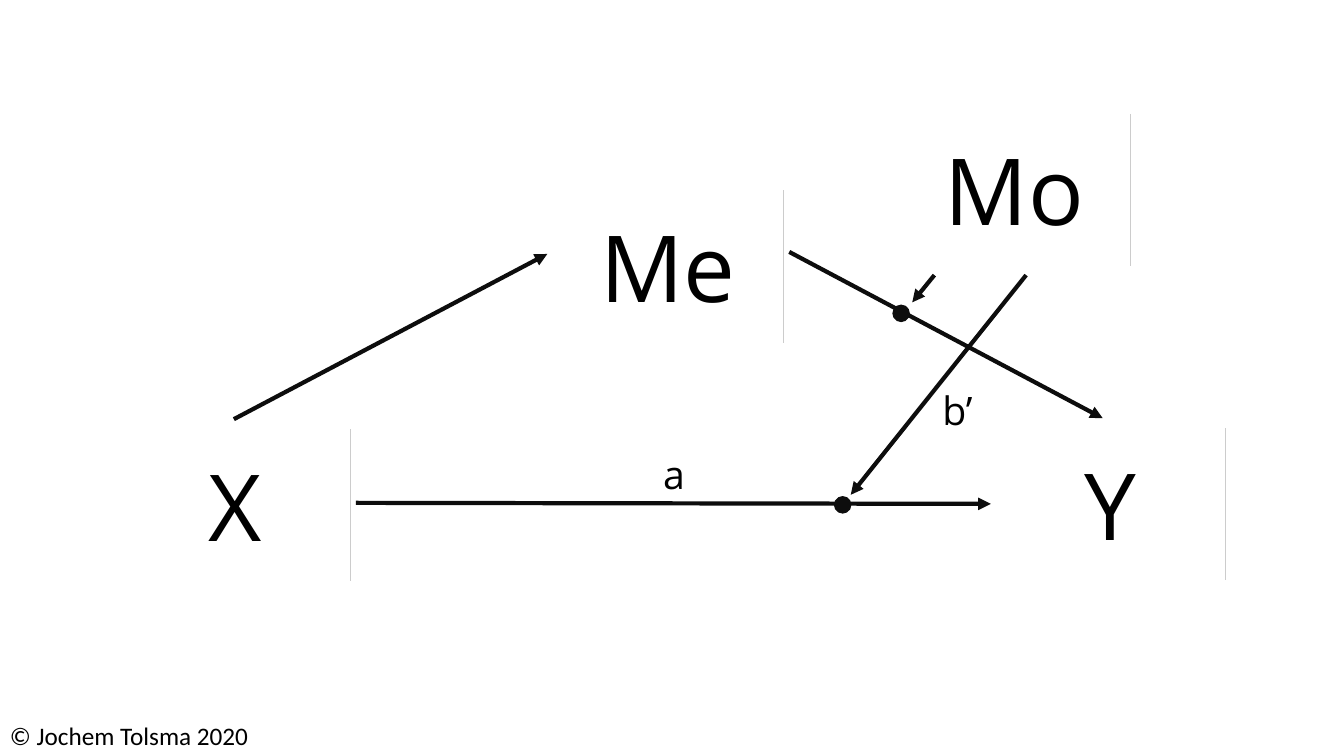
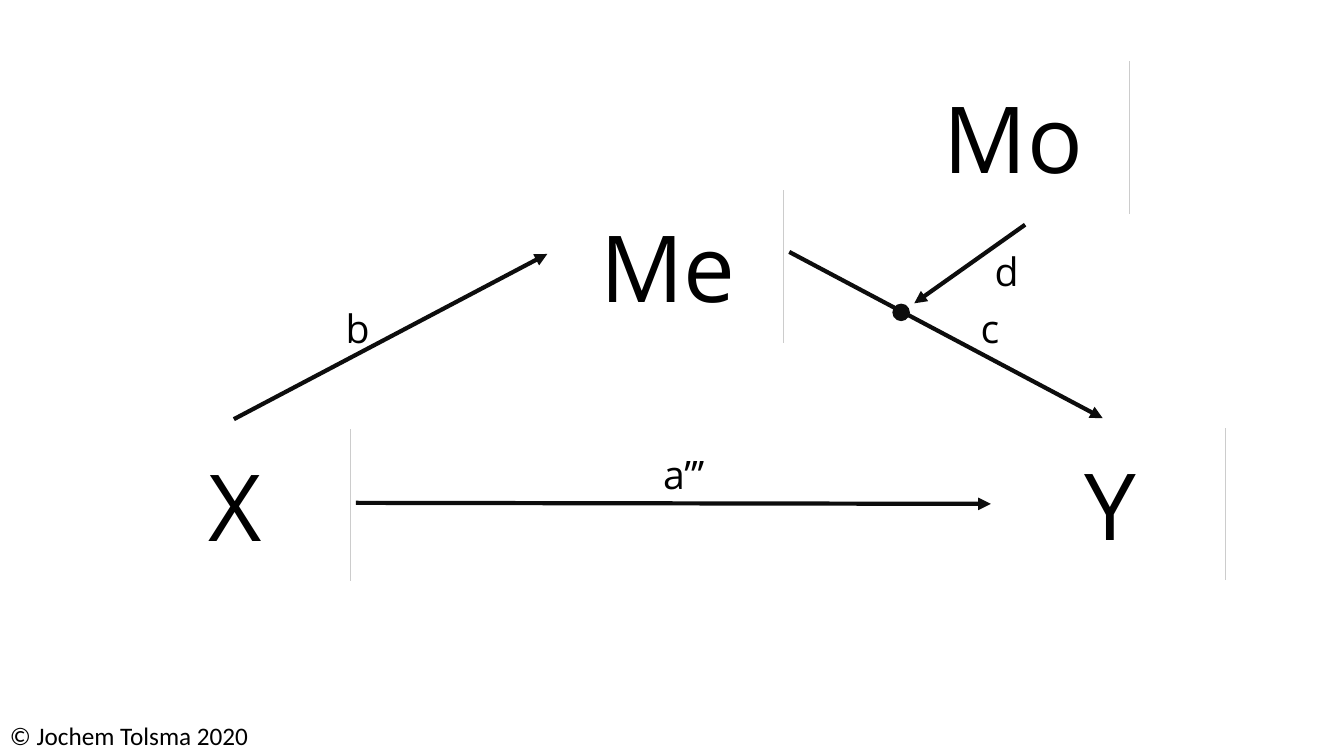
"""Build two path diagrams of a moderated mediation model."""
import dataclasses

import lxml.etree
import pptx
import pptx.dml.color
import pptx.enum.shapes
import pptx.enum.text
import pptx.oxml.ns
import pptx.util


@dataclasses.dataclass(frozen=True)
class Theme:
    ink: str = "000000"
    arrow: str = "0D0D0D"
    paper: str = "FFFFFF"
    edge: str = "CCCCCC"
    variable_font: str = "Open Sans"
    footer_font: str = "Calibri"
    variable_size: int = 66
    label_size: int = 28
    footer_size: int = 18
    arrow_width: float = 3
    edge_width: float = 0.5


theme = Theme()
rgb = pptx.dml.color.RGBColor.from_string
qn = pptx.oxml.ns.qn
shape_kind = pptx.enum.shapes.MSO_SHAPE
align = pptx.enum.text.PP_ALIGN

deck = pptx.Presentation()
deck.slide_width = pptx.util.Inches(13.33)
deck.slide_height = pptx.util.Inches(7.5)
COLUMNS = 40
CELL = deck.slide_width / COLUMNS


def add_text(parent, text, left, top, width, height, *, size=theme.label_size,
             font=theme.variable_font, alignment=align.LEFT):
    box = parent.add_textbox(*(round(CELL * n) for n in (left, top, width, height)))
    box.text_frame.word_wrap = True
    para = box.text_frame.paragraphs[0]
    para.alignment = alignment
    span = para.add_run()
    span.text = text
    span.font.size = pptx.util.Pt(size)
    span.font.name = font
    span.font.color.rgb = rgb(theme.ink)


def add_line(parent, ends, *, color=theme.arrow, width=theme.arrow_width, head=True):
    line = parent.add_connector(pptx.enum.shapes.MSO_CONNECTOR.STRAIGHT,
                                *(round(CELL * n) for n in ends))
    line.line.color.rgb = rgb(color)
    line.line.width = pptx.util.Pt(width)
    if head:
        lxml.etree.SubElement(line.line._get_or_add_ln(), qn("a:tailEnd"), type="triangle")
    lxml.etree.SubElement(line._element.spPr, qn("a:effectLst"))


BOX_WIDTH, BOX_HEIGHT = 6.87, 4.53
INSET_X, INSET_Y = 0.14, 0.43
LABEL_HEIGHT = 1.71
DOT = 0.48

shared_variables = [("X", 3.57, 12.78), ("Y", 29.61, 12.75), ("Me", 16.44, 5.67)]
shared_arrows = [
    (10.59, 14.97, 29.49, 15),
    (6.96, 12.48, 16.29, 7.56),
    (23.49, 7.5, 32.82, 12.45),
]
diagrams = [
    {
        "moderator": ("Mo", 26.76, 3.39),
        "arrows": [(27.81, 8.19, 27.15, 9), (30.54, 8.19, 25.32, 14.73)],
        "dots": [(24.84, 14.79), (26.58, 9.09)],
        "labels": [("a", 19.44, 13.26, 2), ("b’", 27.75, 11.34, 2)],
    },
    {
        "moderator": ("Mo", 26.73, 1.83),
        "arrows": [(30.51, 6.69, 27.21, 9.03)],
        "dots": [(26.58, 9.06)],
        "labels": [("a’’’", 19.44, 13.26, 3.78), ("b", 9.99, 8.91, 1.2),
                   ("c", 28.89, 8.91, 1.2), ("d", 29.31, 7.2, 1.2)],
    },
]

for diagram in diagrams:
    page = deck.slides.add_slide(deck.slide_layouts[6])
    add_text(page.shapes, "© Jochem Tolsma 2020", 0, 21.3, 11.22, 1.2,
             size=theme.footer_size, font=theme.footer_font)

    for name, left, top in shared_variables + [diagram["moderator"]]:
        group = page.shapes.add_group_shape().shapes
        panel = group.add_shape(shape_kind.RECTANGLE, *(
            round(CELL * n) for n in (left, top, BOX_WIDTH, BOX_HEIGHT)))
        panel.shadow.inherit = False
        panel.fill.solid()
        panel.fill.fore_color.rgb = rgb(theme.paper)
        panel.line.fill.background()
        right = left + BOX_WIDTH
        add_line(group, (right, top, right, top + BOX_HEIGHT),
                 color=theme.edge, width=theme.edge_width, head=False)
        add_text(group, name, left + INSET_X, top + INSET_Y,
                 BOX_WIDTH - 2 * INSET_X, BOX_HEIGHT - 2 * INSET_Y,
                 size=theme.variable_size, alignment=align.CENTER)

    for ends in shared_arrows + diagram["arrows"]:
        add_line(page.shapes, ends)

    for left, top in diagram["dots"]:
        dot = page.shapes.add_shape(shape_kind.OVAL, *(
            round(CELL * n) for n in (left, top, DOT, DOT)))
        dot.shadow.inherit = False
        dot.fill.solid()
        dot.fill.fore_color.rgb = rgb(theme.arrow)
        dot.line.color.rgb = rgb(theme.arrow)
        dot.line.width = pptx.util.Pt(1)

    for text, left, top, width in diagram["labels"]:
        add_text(page.shapes, text, left, top, width, LABEL_HEIGHT)

deck.save("out.pptx")
